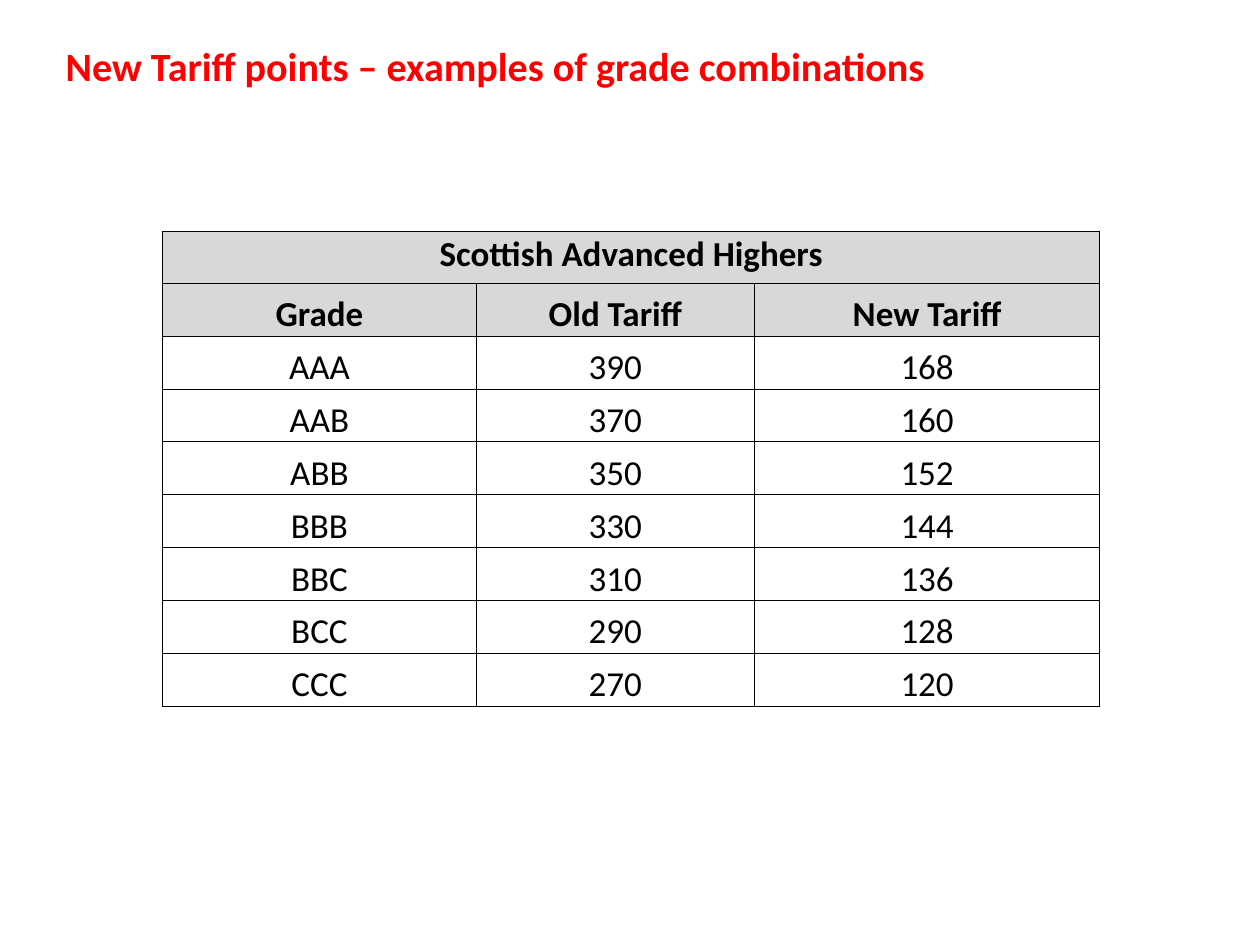
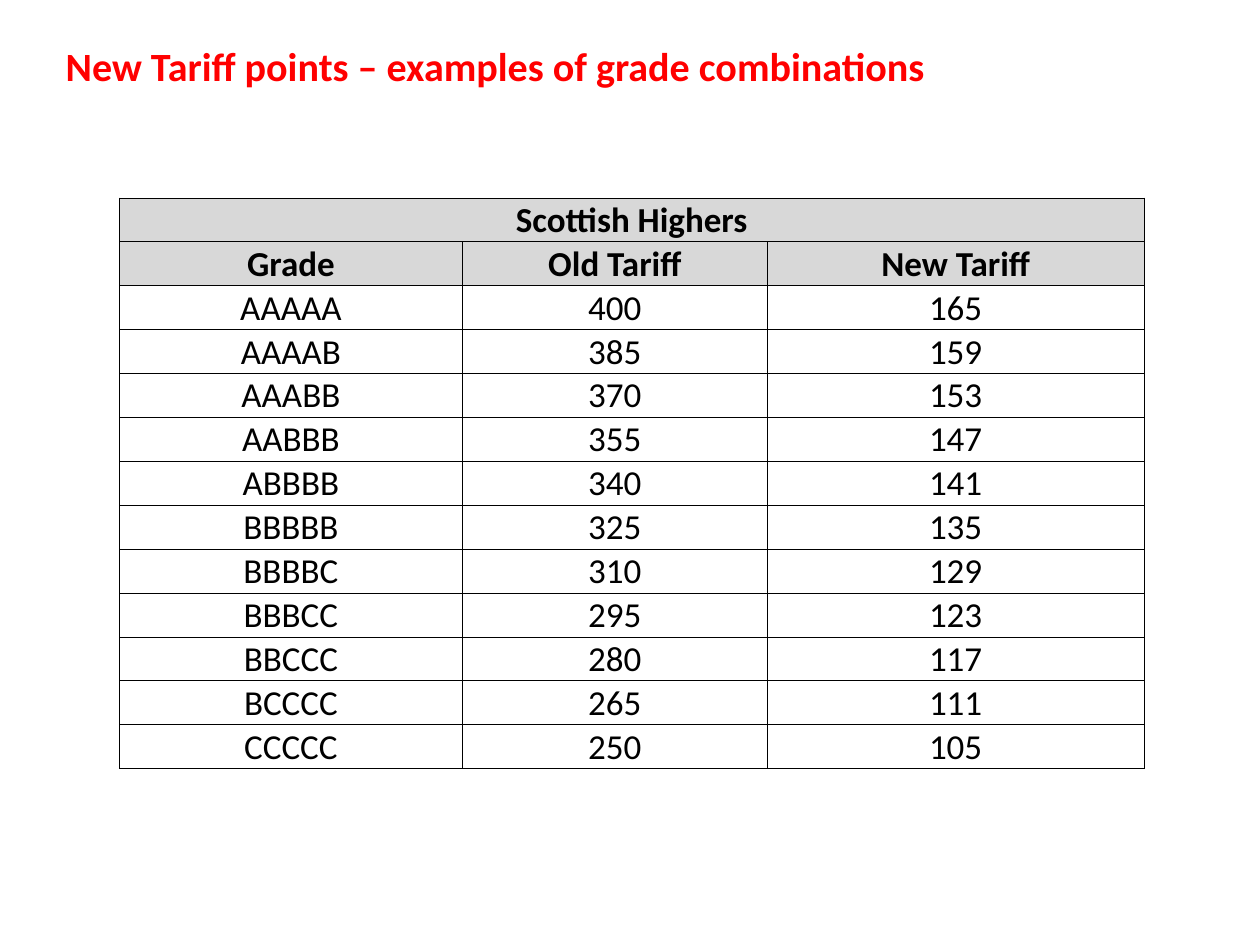
import lxml.etree
import pptx
import pptx.dml.color
import pptx.enum.text
import pptx.oxml.ns
import pptx.util

Cm = pptx.util.Cm
Pt = pptx.util.Pt
MSO_ANCHOR = pptx.enum.text.MSO_ANCHOR
PP_ALIGN = pptx.enum.text.PP_ALIGN

FONT = "Calibri"
RED = "FF0000"
BLACK = "000000"
GREY = "D8D8D8"
HEADLINE = "New Tariff points – examples of grade combinations"
HEADLINE_BOX = (1.07, 0.71, 22.86, 3.18)
COLUMN_HEADS = ("Grade", "Old Tariff", "New Tariff")

ADVANCED_HIGHERS = [
    ("AAA", 390, 168), ("AAB", 370, 160), ("ABB", 350, 152),
    ("BBB", 330, 144), ("BBC", 310, 136), ("BCC", 290, 128),
    ("CCC", 270, 120),
]
HIGHERS = [
    ("AAAAA", 400, 165), ("AAAAB", 385, 159), ("AAABB", 370, 153),
    ("AABBB", 355, 147), ("ABBBB", 340, 141), ("BBBBB", 325, 135),
    ("BBBBC", 310, 129), ("BBBCC", 295, 123), ("BBCCC", 280, 117),
    ("BCCCC", 265, 111), ("CCCCC", 250, 105),
]


def rgb(code):
    return pptx.dml.color.RGBColor.from_string(code)


def style_text(paragraph, size, color, bold):
    for run in paragraph.runs:
        run.font.name = FONT
        run.font.size = Pt(size)
        run.font.bold = bold
        run.font.color.rgb = rgb(color)


def add_borders(cell, color, width):
    qn = pptx.oxml.ns.qn
    properties = cell._tc.get_or_add_tcPr()
    for position, side in enumerate(("lnL", "lnR", "lnT", "lnB")):
        line = lxml.etree.Element(qn(f"a:{side}"), w=str(Pt(width)))
        fill = lxml.etree.SubElement(line, qn("a:solidFill"))
        lxml.etree.SubElement(fill, qn("a:srgbClr"), val=color)
        properties.insert(position, line)


def add_headline(slide, box):
    headline = slide.shapes.title
    headline.left, headline.top, headline.width, headline.height = map(Cm, box)
    frame = headline.text_frame
    frame.text = HEADLINE
    frame.word_wrap = True
    frame.auto_size = pptx.enum.text.MSO_AUTO_SIZE.NONE
    frame.vertical_anchor = MSO_ANCHOR.TOP
    frame.paragraphs[0].alignment = PP_ALIGN.LEFT
    style_text(frame.paragraphs[0], 22.9, RED, True)


def format_cell(cell, text, is_head):
    cell.text = str(text)
    cell.margin_left = cell.margin_right = cell.margin_top = Cm(0.02)
    cell.margin_bottom = 0
    cell.vertical_anchor = MSO_ANCHOR.BOTTOM
    if is_head:
        cell.fill.solid()
        cell.fill.fore_color.rgb = rgb(GREY)
    else:
        cell.fill.background()
    add_borders(cell, BLACK, 0.5)
    paragraph = cell.text_frame.paragraphs[0]
    paragraph.alignment = PP_ALIGN.CENTER
    style_text(paragraph, 20, BLACK, is_head)


def add_tariff_table(slide, box, qualification, tariffs, column_widths):
    rows = [(qualification, "", ""), COLUMN_HEADS, *tariffs]
    table = slide.shapes.add_table(len(rows), len(COLUMN_HEADS), *map(Cm, box)).table
    table.first_row = table.horz_banding = False
    for column, width in zip(table.columns, column_widths):
        column.width = Cm(width)
    for row_index, values in enumerate(rows):
        for column_index, value in enumerate(values):
            format_cell(table.cell(row_index, column_index), value, row_index < 2)
    table.cell(0, 0).merge(table.cell(0, len(COLUMN_HEADS) - 1))
    return table


def add_tariff_slide(deck, box, qualification, tariffs, column_widths):
    slide = deck.slides.add_slide(deck.slide_layouts[5])
    add_headline(slide, HEADLINE_BOX)
    return add_tariff_table(slide, box, qualification, tariffs, column_widths)


def main():
    deck = pptx.Presentation()
    deck.slide_width, deck.slide_height = Cm(25.4), Cm(19.05)
    advanced = add_tariff_slide(deck, (3.28, 4.67, 18.89, 9.6), "Scottish Advanced Highers",
                                ADVANCED_HIGHERS, (6.32, 5.61, 6.96))
    advanced.rows[0].height = Cm(1.04)
    advanced.cell(0, 0).vertical_anchor = MSO_ANCHOR.TOP
    add_tariff_slide(deck, (2.41, 3.99, 20.65, 11.35), "Scottish Highers",
                     HIGHERS, (6.91, 6.15, 7.59))
    deck.save("out.pptx")


if __name__ == "__main__":
    main()
